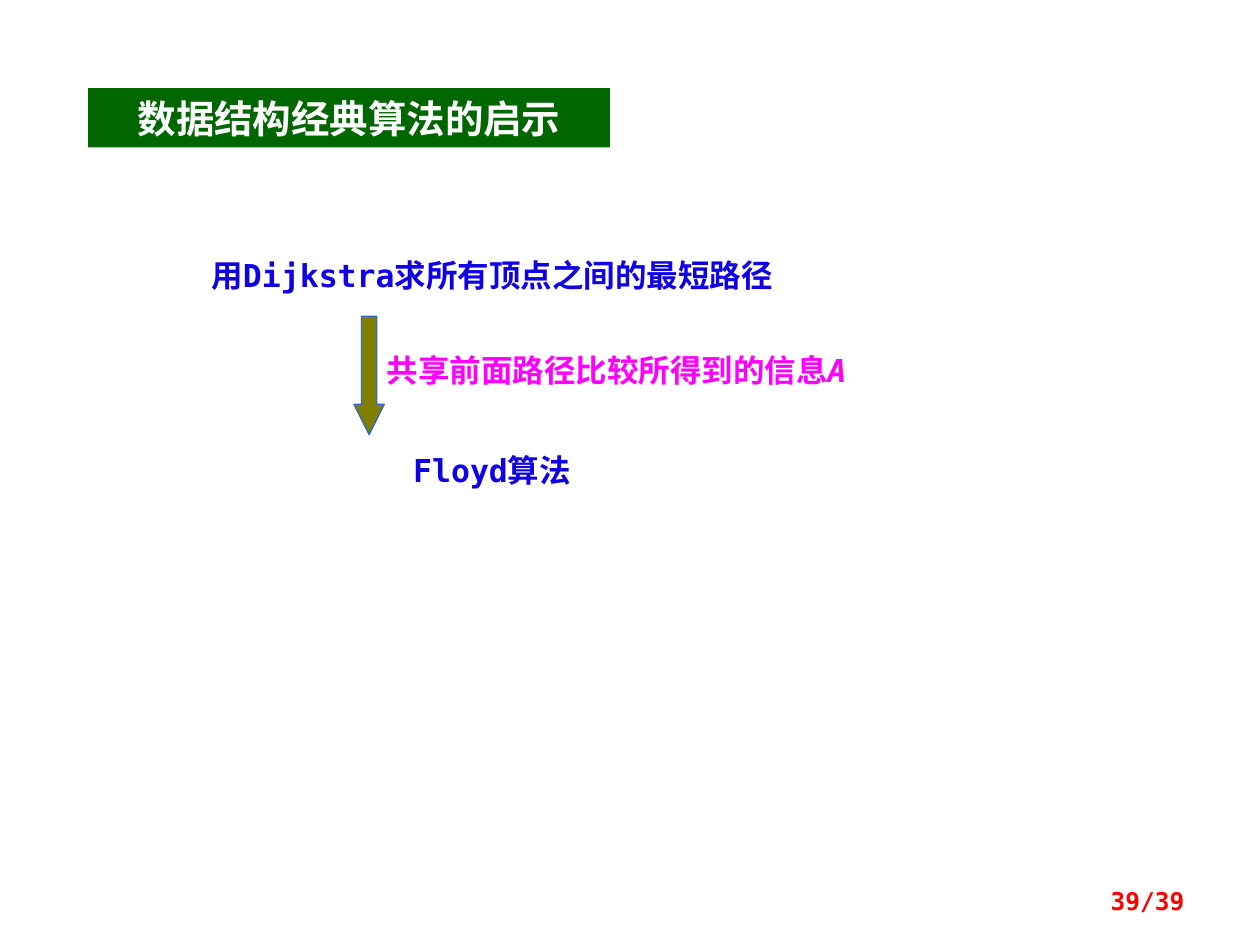
from dataclasses import dataclass
from lxml.etree import SubElement
from pptx import Presentation
from pptx.dml.color import RGBColor as RGB
from pptx.enum.shapes import MSO_SHAPE as Shape
from pptx.enum.text import MSO_ANCHOR as Anchor, MSO_AUTO_SIZE as AutoSize, PP_ALIGN as Align
from pptx.oxml.ns import qn
from pptx.util import Inches, Pt


@dataclass(frozen=True)
class Theme:
    latin: str = "DejaVu Sans Mono"
    chinese: str = "Noto Sans CJK SC"
    title_size: int = 22
    body_size: int = 18
    page_size: int = 14
    green: str = "006600"
    white: str = "FFFFFF"
    blue: str = "1000E4"
    magenta: str = "FF00FF"
    olive: str = "808000"
    outline: str = "3366CC"
    red: str = "FF0000"


class Deck:
    def __init__(self, theme, columns=100, rows=75):
        self.theme = theme
        self.prs = Presentation()
        self.prs.slide_width, self.prs.slide_height = Inches(10), Inches(7.5)
        self.column = self.prs.slide_width / columns
        self.row = self.prs.slide_height / rows
        self.slide = self.prs.slides.add_slide(self.prs.slide_layouts[5])

    def box(self, x, y, w, h):
        return [round(v) for v in (x * self.column, y * self.row, w * self.column, h * self.row)]

    def paint(self, s, color):
        s.fill.solid()
        s.fill.fore_color.rgb = RGB.from_string(color)

    def set_text(self, s, parts, size, color, align, anchor=Anchor.TOP, inset=0.05, latin=None):
        tf = s.text_frame
        tf.word_wrap, tf.auto_size, tf.vertical_anchor = True, AutoSize.NONE, anchor
        tf.margin_left = tf.margin_right = Inches(0.1)
        tf.margin_top = tf.margin_bottom = Inches(inset)
        p = tf.paragraphs[0]
        p.alignment = align
        for text, italic in parts:
            r = p.add_run()
            r.text = text
            r.font.name = latin or self.theme.latin
            r.font.size, r.font.bold, r.font.italic = Pt(size), True, italic
            r.font.color.rgb = RGB.from_string(color)
            SubElement(r.font._element, qn("a:ea"), typeface=self.theme.chinese)

    def title(self, text, *place):
        t = self.theme
        s = self.slide.shapes.title
        s.left, s.top, s.width, s.height = self.box(*place)
        self.paint(s, t.green)
        self.set_text(s, [(text, False)], t.title_size, t.white, Align.CENTER,
                      Anchor.MIDDLE, latin=t.chinese)

    def step(self, text, *place):
        t = self.theme
        s = self.slide.shapes.add_shape(Shape.RECTANGLE, *self.box(*place))
        s.shadow.inherit = False
        s.line.fill.background()
        self.paint(s, t.white)
        self.set_text(s, [(text, False)], t.body_size, t.blue, Align.CENTER, inset=0.08)

    def label(self, parts, size, color, align, anchor, *place):
        s = self.slide.shapes.add_textbox(*self.box(*place))
        self.set_text(s, parts, size, color, align, anchor)

    def arrow(self, *place):
        s = self.slide.shapes.add_shape(Shape.DOWN_ARROW, *self.box(*place))
        s.shadow.inherit = False
        s.adjustments[0], s.adjustments[1] = 0.5, 1
        self.paint(s, self.theme.olive)
        s.line.color.rgb = RGB.from_string(self.theme.outline)
        s.line.width = Pt(0.75)


theme = Theme()
deck = Deck(theme)
deck.title("数据结构经典算法的启示", 7, 7, 41.4, 4.7)
steps = ["用Dijkstra求所有顶点之间的最短路径", "Floyd算法"]
for i, text in enumerate(steps):
    deck.step(text, 15.6, 19.5 + i * 15.5, 46.9, 4.6)
deck.label([("共享前面路径比较所得到的信息", False), ("A", True)], theme.body_size,
           theme.magenta, Align.LEFT, Anchor.TOP, 29.7, 27.4, 49.1, 4)
deck.arrow(28.1, 25.1, 2.4, 9.4)
deck.label([("39/39", False)], theme.page_size, theme.red, Align.RIGHT, Anchor.MIDDLE,
           71.7, 69.5, 23.3, 4)
deck.prs.save("out.pptx")
